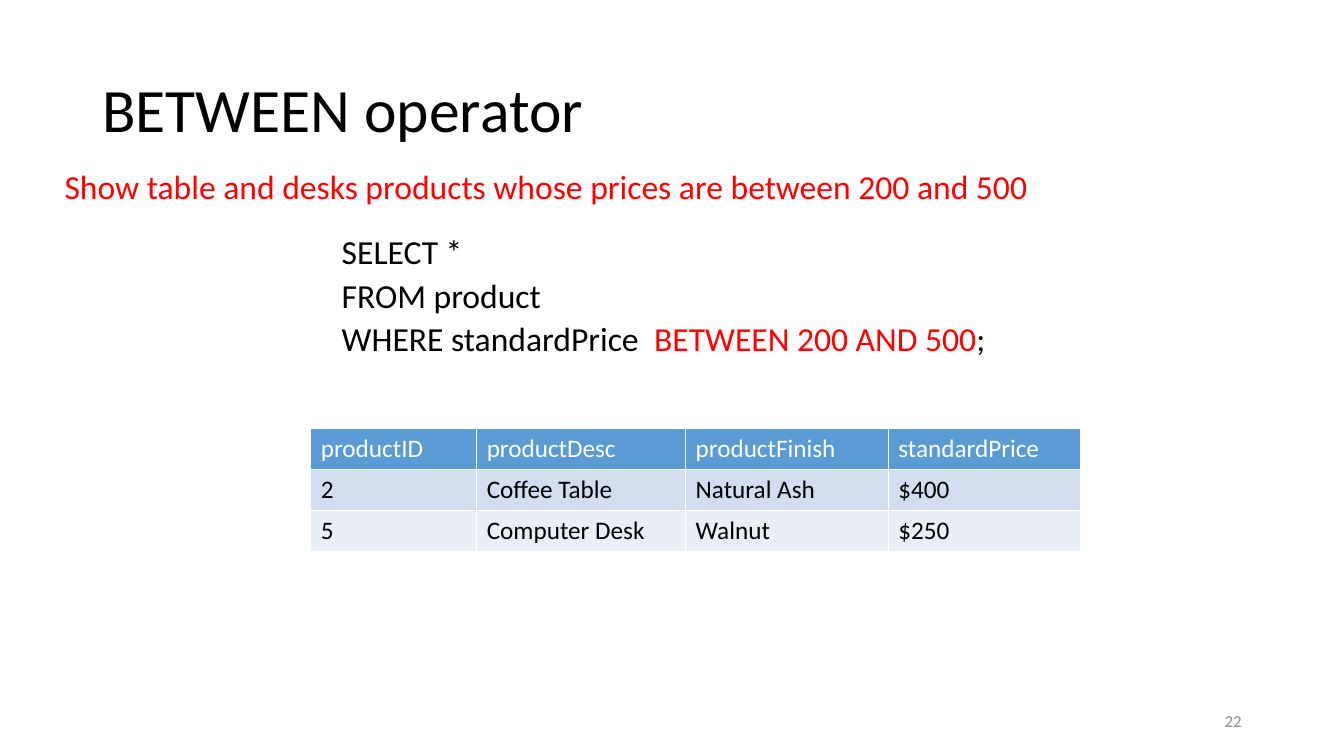
"""Build the slide on the SQL BETWEEN operator."""
import dataclasses

import pptx
import pptx.dml.color
import pptx.enum.text
import pptx.util

PX = 9525
BLACK, WHITE, RED, GREY = "000000", "FFFFFF", "FF0000", "8C8C8C"
FILLS = ["5B9BD5", "D2DEEF", "EAEFF7"]
WIDTHS = [158, 199, 193, 183]
ROWS = [
    ["productID", "productDesc", "productFinish", "standardPrice"],
    ["2", "Coffee Table", "Natural Ash", "$400"],
    ["5", "Computer Desk", "Walnut", "$250"],
]
ALIGN = pptx.enum.text.PP_ALIGN
ANCHOR = pptx.enum.text.MSO_ANCHOR


@dataclasses.dataclass
class Label:
    box: tuple[int, int, int, int]
    lines: list[list[tuple[str, str]]]
    size: int
    align: ALIGN = ALIGN.LEFT
    anchor: ANCHOR = ANCHOR.TOP
    space: float = 1.0
    gap: int = 0
    left: int = 0
    hang: int = 0


TITLE = Label((88, 38, 1104, 139), [[("BETWEEN operator", BLACK)]], 44,
              anchor=ANCHOR.MIDDLE, space=0.9)
LABELS = [
    Label((268, 220, 810, 192), [
        [("SELECT *", BLACK)],
        [("FROM product", BLACK)],
        [("WHERE standardPrice  ", BLACK), ("BETWEEN 200 AND 500", RED), (";", BLACK)],
    ], 24, space=0.9, gap=5, left=72, hang=-24),
    Label((904, 667, 288, 38), [[("22", GREY)]], 12, ALIGN.RIGHT, ANCHOR.MIDDLE),
    Label((52, 153, 1027, 48), [
        [("Show table and desks products whose prices are between 200 and 500", RED)],
    ], 24),
]


def tint(color, code: str) -> None:
    """Set a colour format from a hex string."""
    color.rgb = pptx.dml.color.RGBColor.from_string(code)


def style(run, size: int, code: str) -> None:
    """Set the font of one run."""
    run.font.name = "Calibri"
    run.font.size = pptx.util.Pt(size)
    run.font.bold = False
    tint(run.font.color, code)


def write(shape, label: Label) -> None:
    """Place a text shape and fill it with the label's lines."""
    shape.left, shape.top, shape.width, shape.height = (n * PX for n in label.box)
    frame = shape.text_frame
    frame.word_wrap = True
    frame.auto_size = pptx.enum.text.MSO_AUTO_SIZE.NONE
    frame.vertical_anchor = label.anchor
    frame.text = "\n".join("".join(text for text, _ in line) for line in label.lines)
    for para, line in zip(frame.paragraphs, label.lines):
        para.alignment = label.align
        para.line_spacing = label.space
        para.space_before = pptx.util.Pt(label.gap)
        if label.left:
            para.level = 1
            props = para._p.get_or_add_pPr()
            props.set("marL", str(label.left * PX))
            props.set("indent", str(label.hang * PX))
        para.runs[0].text = line[0][0]
        for text, _ in line[1:]:
            para.add_run().text = text
        for run, (_, code) in zip(para.runs, line):
            style(run, label.size, code)


def add_grid(slide) -> None:
    """Add the table of matching products."""
    high = 39
    size = [n * PX for n in (296, 408, sum(WIDTHS), high * len(ROWS))]
    grid = slide.shapes.add_table(len(ROWS), len(WIDTHS), *size).table
    for col, width in zip(grid.columns, WIDTHS):
        col.width = width * PX
    for i, row in enumerate(ROWS):
        grid.rows[i].height = high * PX
        for j, text in enumerate(row):
            cell = grid.cell(i, j)
            cell.fill.solid()
            tint(cell.fill.fore_color, FILLS[i])
            cell.text_frame.text = text
            style(cell.text_frame.paragraphs[0].runs[0], 18, BLACK if i else WHITE)


def main() -> None:
    """Build and save the slide."""
    deck = pptx.Presentation()
    deck.slide_width, deck.slide_height = 1280 * PX, 720 * PX
    slide = deck.slides.add_slide(deck.slide_layouts.get_by_name("Title Only"))
    write(slide.shapes.title, TITLE)
    for label in LABELS:
        write(slide.shapes.add_textbox(0, 0, PX, PX), label)
    add_grid(slide)
    deck.save("out.pptx")


if __name__ == "__main__":
    main()
